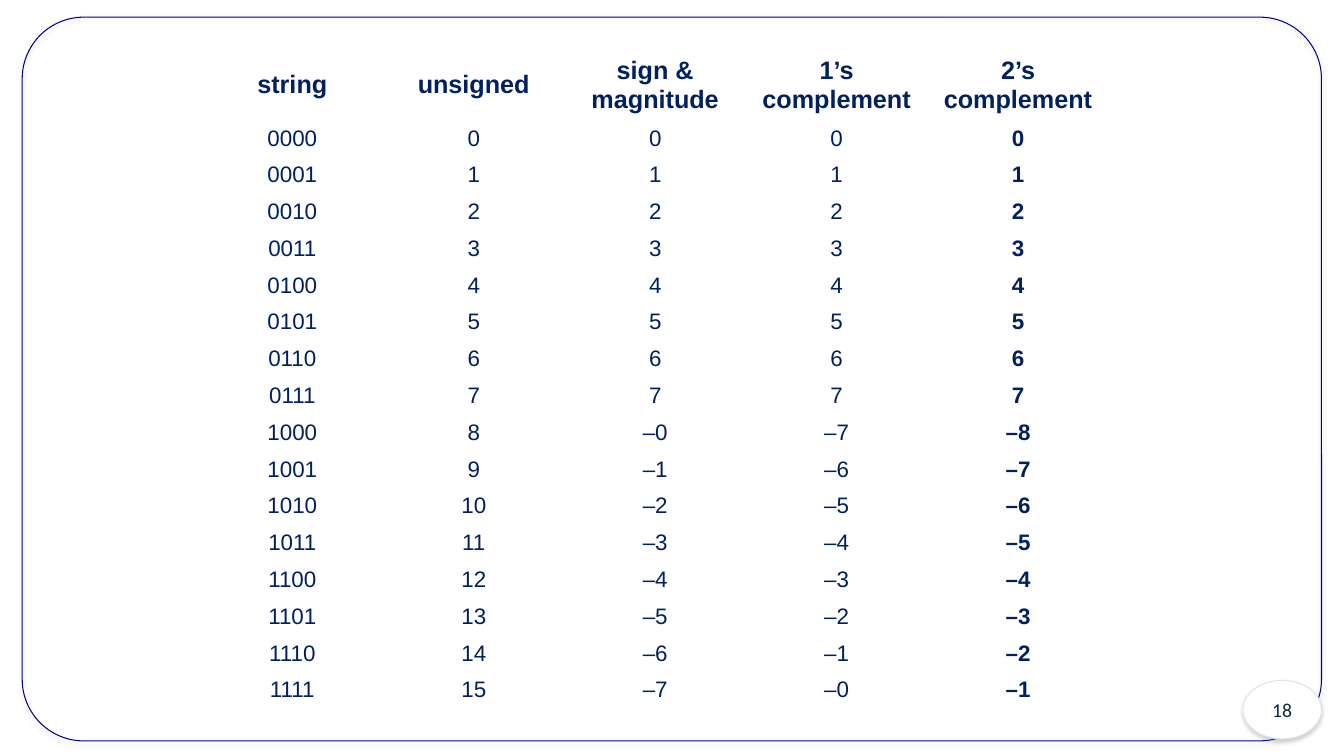
from dataclasses import dataclass

from lxml import etree
from pptx import Presentation
from pptx.dml.color import RGBColor
from pptx.enum.shapes import MSO_SHAPE
from pptx.enum.text import MSO_ANCHOR, PP_ALIGN
from pptx.oxml.ns import qn
from pptx.util import Pt

ROUND = MSO_SHAPE.ROUNDED_RECTANGLE
OVAL = MSO_SHAPE.OVAL
MIDDLE = MSO_ANCHOR.MIDDLE
CENTER = PP_ALIGN.CENTER

COLORS = {
    "frame": "000090",
    "edge": "DCE6F2",
    "page": "10253F",
    "text": "002060",
    "white": "FFFFFF",
    "shade": "808080",
}
HEADS = ["string", "unsigned", "sign & magnitude", "1’s complement", "2’s complement"]
BITS = 4
COUNT = 2 ** BITS
HALF = COUNT // 2
HEAD_TALL = 49.68
ROW_TALL = 26.28
COL_WIDE = 129.6


@dataclass
class Panel:
    kind: MSO_SHAPE
    left: float
    top: float
    width: float
    height: float
    line: str


FRAME = Panel(ROUND, 15.84, 12.24, 928.08, 516.96, "frame")
BADGE = Panel(OVAL, 887.76, 486, 56.16, 41.76, "edge")


def color(name: str) -> RGBColor:
    return RGBColor.from_string(COLORS[name])


def add_shade(shape) -> None:
    shape.shadow.inherit = False
    effect = shape.element.spPr.find(qn("a:effectLst"))
    outer = etree.SubElement(
        effect, qn("a:outerShdw"), blurRad=str(Pt(3.1)), dist=str(Pt(1.8)),
        dir="5400000", rotWithShape="0")
    tint = etree.SubElement(outer, qn("a:srgbClr"), val=COLORS["shade"])
    etree.SubElement(tint, qn("a:alpha"), val="35000")


def add_panel(slide, panel: Panel):
    shape = slide.shapes.add_shape(
        panel.kind, Pt(panel.left), Pt(panel.top), Pt(panel.width), Pt(panel.height))
    shape.line.color.rgb = color(panel.line)
    shape.line.width = Pt(0.75)
    add_shade(shape)
    return shape


def write(frame, text: str, font: str, size: float, tint: str, bold: bool = False) -> None:
    line = frame.paragraphs[0]
    line.text = text
    line.alignment = CENTER
    line.font.name = font
    line.font.size = Pt(size)
    line.font.bold = bold
    line.font.color.rgb = color(tint)


def add_edges(cell, base: float) -> None:
    props = cell._tc.get_or_add_tcPr()
    for side, width in (("L", 1), ("R", 1), ("T", 1), ("B", base)):
        edge = etree.SubElement(props, qn(f"a:ln{side}"), w=str(Pt(width)))
        fill = etree.SubElement(edge, qn("a:solidFill"))
        etree.SubElement(fill, qn("a:srgbClr"), val=COLORS["white"])


def signed(minus: bool, value: int) -> str:
    return f"–{value}" if minus else str(value)


def codes(value: int) -> list[str]:
    minus = value >= HALF
    sizes = (value - HALF, COUNT - 1 - value, COUNT - value) if minus else (value,) * 3
    return [f"{value:0{BITS}b}", str(value)] + [signed(minus, size) for size in sizes]


def add_codes(slide) -> None:
    rows = [HEADS] + [codes(value) for value in range(COUNT)]
    table = slide.shapes.add_table(
        len(rows), len(HEADS), Pt(144), Pt(36), Pt(COL_WIDE * len(HEADS)),
        Pt(HEAD_TALL + ROW_TALL * COUNT)).table
    table.horz_banding = False
    for column in table.columns:
        column.width = Pt(COL_WIDE)
    for r, texts in enumerate(rows):
        head = r == 0
        table.rows[r].height = Pt(HEAD_TALL if head else ROW_TALL)
        for c, text in enumerate(texts):
            cell = table.cell(r, c)
            add_edges(cell, 3 if head else 1)
            cell.fill.background()
            cell.vertical_anchor = MIDDLE
            cell.margin_left = cell.margin_right = Pt(6.48)
            cell.margin_top = cell.margin_bottom = Pt(2.88)
            bold = head or c == len(HEADS) - 1
            write(cell.text_frame, text, "Arial", 18 if head else 16, "text", bold)


def main() -> None:
    deck = Presentation()
    deck.slide_width = Pt(960)
    deck.slide_height = Pt(540)
    slide = deck.slides.add_slide(deck.slide_layouts[6])

    add_panel(slide, FRAME).fill.background()
    slide.shapes[0].adjustments[0] = 0.085

    badge = add_panel(slide, BADGE)
    badge.fill.solid()
    badge.fill.fore_color.rgb = color("white")
    badge.text_frame.vertical_anchor = MIDDLE
    write(badge.text_frame, "18", "Calibri", 14, "page")

    add_codes(slide)
    deck.save("out.pptx")


if __name__ == "__main__":
    main()
